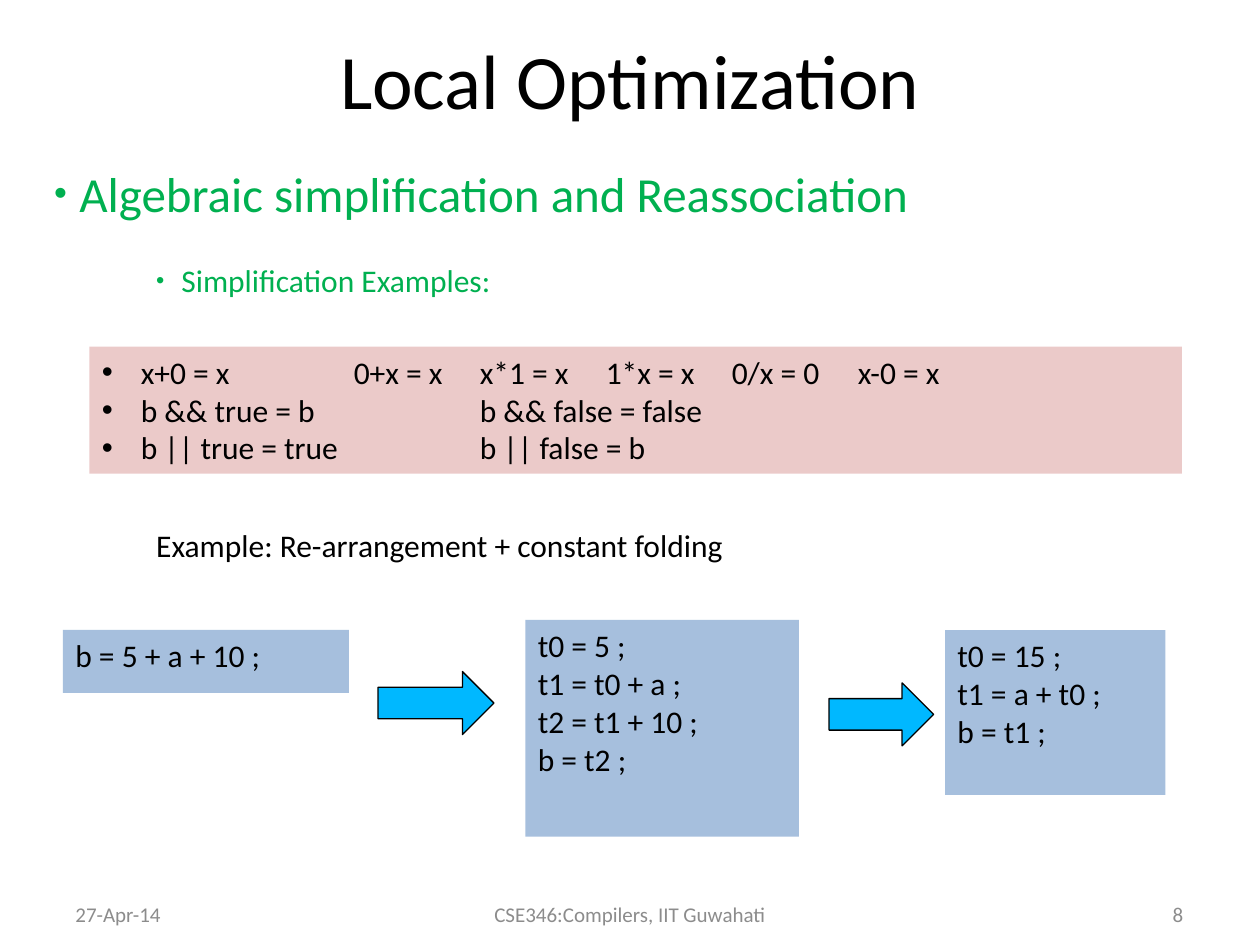
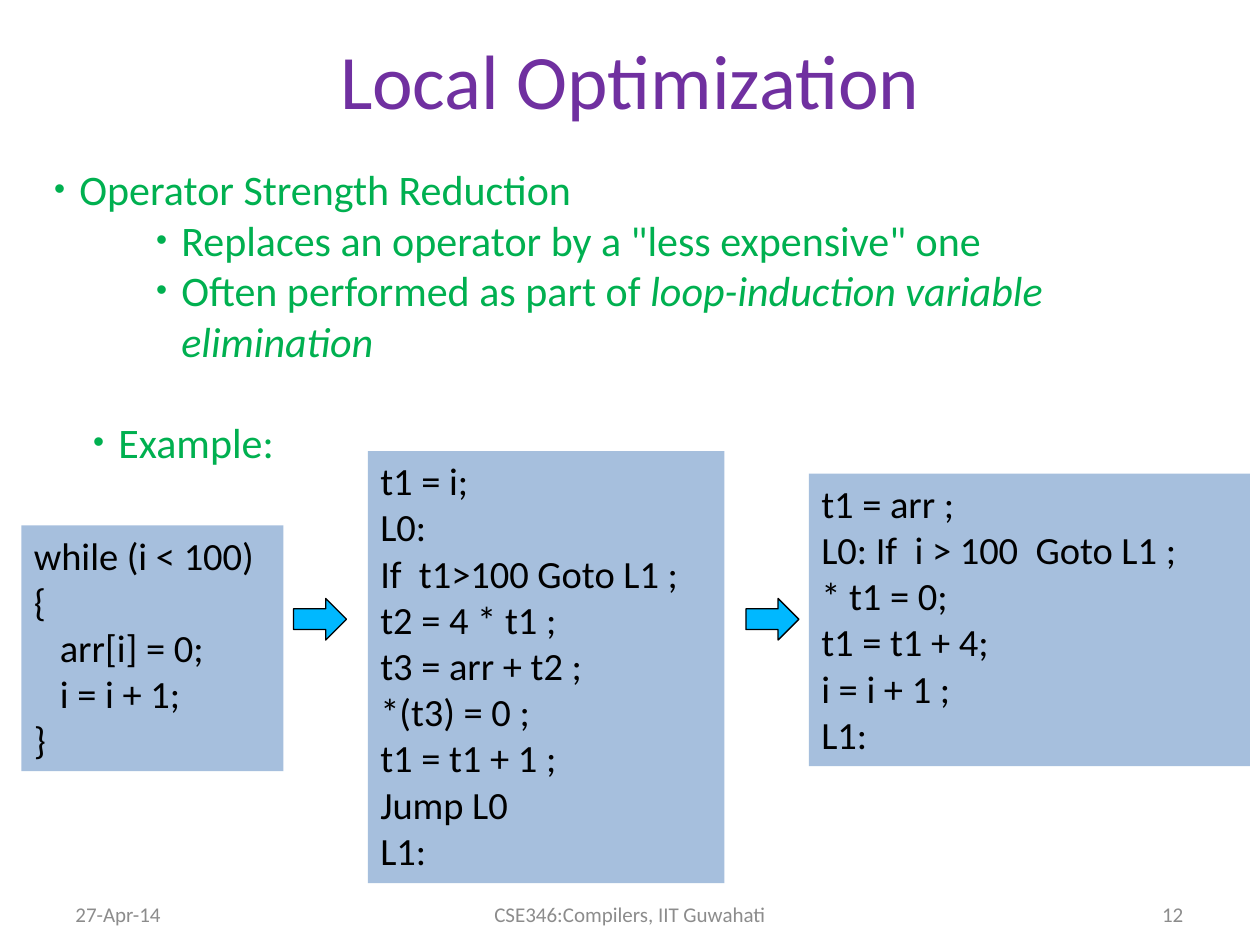
from lxml.etree import SubElement
from pptx import Presentation
from pptx.dml.color import RGBColor
from pptx.enum.shapes import MSO_SHAPE
from pptx.enum.text import MSO_ANCHOR, MSO_AUTO_SIZE, PP_ALIGN
from pptx.oxml.ns import qn
from pptx.util import Inches, Pt

FONT = "Calibri"
BLACK = RGBColor(0x00, 0x00, 0x00)
PURPLE = RGBColor(0x70, 0x30, 0xA0)
GREEN = RGBColor(0x00, 0xB0, 0x50)
GREY = RGBColor(0x8C, 0x8C, 0x8C)
CODE_BLUE = RGBColor(0x4F, 0x81, 0xBD)
RULE_PINK = RGBColor(0xD9, 0x96, 0x94)
ARROW_BLUE = RGBColor(0x00, 0xB8, 0xFF)


def place(shape, box):
    shape.left, shape.top, shape.width, shape.height = map(Inches, box)


def style(paragraph, size, color, align=PP_ALIGN.LEFT):
    paragraph.alignment = align
    paragraph.line_spacing = 1.0
    font = paragraph.font
    font.name, font.size, font.color.rgb = FONT, Pt(size), color


def set_bullet(paragraph, margin, hanging, color=None, percent=100):
    """Give the paragraph a hanging bullet, or none when hanging is 0."""
    properties = paragraph._p.get_or_add_pPr()
    properties.set("marL", str(Inches(margin)))
    properties.set("indent", str(-Inches(hanging)))
    if not hanging:
        SubElement(properties, qn("a:buNone"))
        return
    if color is not None:
        bullet_color = SubElement(properties, qn("a:buClr"))
        SubElement(bullet_color, qn("a:srgbClr"), val=str(color))
    SubElement(properties, qn("a:buSzPct"), val=str(percent * 1000))
    SubElement(properties, qn("a:buFont"), typeface="Arial")
    SubElement(properties, qn("a:buChar"), char="•")


def add_title(slide, text, color):
    title = slide.shapes.title
    place(title, (0.5, 0, 9, 1.25))
    title.text_frame.text = text
    title.text_frame.vertical_anchor = MSO_ANCHOR.MIDDLE
    style(title.text_frame.paragraphs[0], 44, color, PP_ALIGN.CENTER)


def add_footer(slide, number):
    parts = (
        ("27-Apr-14", 0.5, 2.32, PP_ALIGN.LEFT),
        ("CSE346:Compilers, IIT Guwahati", 3.42, 3.16, PP_ALIGN.CENTER),
        (str(number), 7.17, 2.32, PP_ALIGN.RIGHT),
    )
    for text, left, width, align in parts:
        box = slide.shapes.add_textbox(
            Inches(left), Inches(7.09), Inches(width), Inches(0.33))
        frame = box.text_frame
        frame.word_wrap = True
        frame.vertical_anchor = MSO_ANCHOR.MIDDLE
        frame.text = text
        style(frame.paragraphs[0], 12, GREY, align)


def fill_body(slide, items):
    """Write items of (runs, level, margin, hanging, size, color, space before);
    every second run is italic."""
    body = slide.placeholders[1]
    place(body, (0.33, 1.25, 9.42, 5.67))
    frame = body.text_frame
    frame.auto_size = MSO_AUTO_SIZE.NONE
    for index, (runs, level, margin, hanging, size, color, before) in enumerate(items):
        paragraph = frame.add_paragraph() if index else frame.paragraphs[0]
        paragraph.level = level
        for position, text in enumerate(runs):
            run = paragraph.add_run()
            run.text = text
            if position % 2:
                run.font.italic = True
        set_bullet(paragraph, margin, hanging, color, 75)
        paragraph.space_before = Pt(before)
        style(paragraph, size, color)


def add_panel(slide, box, lines, size, color=CODE_BLUE, bulleted=False):
    """Half-transparent box with one paragraph for each line."""
    panel = slide.shapes.add_shape(MSO_SHAPE.RECTANGLE, *map(Inches, box))
    panel.shadow.inherit = False
    panel.line.fill.background()
    panel.fill.solid()
    panel.fill.fore_color.rgb = color
    fill_color = panel._element.spPr.find(".//" + qn("a:srgbClr"))
    SubElement(fill_color, qn("a:alpha"), val="50000")
    frame = panel.text_frame
    frame.word_wrap = True
    frame.vertical_anchor = MSO_ANCHOR.TOP
    frame.text = "\n".join(lines)
    for paragraph in frame.paragraphs:
        if bulleted:
            set_bullet(paragraph, 0.31, 0.31)
            paragraph._p.pPr.set("defTabSz", str(Inches(1)))
        style(paragraph, size, BLACK)


def add_arrow(slide, box):
    arrow = slide.shapes.add_shape(MSO_SHAPE.RIGHT_ARROW, *map(Inches, box))
    arrow.shadow.inherit = False
    arrow.fill.solid()
    arrow.fill.fore_color.rgb = ARROW_BLUE
    arrow.line.color.rgb = BLACK
    arrow.line.width = Pt(0.75)


def add_code_steps(slide, steps, arrows, size):
    for box, lines in steps:
        add_panel(slide, box, lines, size)
    for box in arrows:
        add_arrow(slide, box)


def start_slide(presentation, title_color, number):
    slide = presentation.slides.add_slide(presentation.slide_layouts[1])
    add_title(slide, "Local Optimization", title_color)
    add_footer(slide, number)
    return slide


def add_simplification_slide(presentation):
    slide = start_slide(presentation, BLACK, 8)
    fill_body(slide, [
        (["Algebraic simplification and Reassociation"], 0, 0.2, 0.2, 28, GREEN, 0),
        (["Simplification Examples:"], 1, 1.01, 0.2, 18, GREEN, 22),
        (["Example: Re-arrangement + constant folding"], 1, 0.81, 0, 18, BLACK, 130),
    ])
    add_panel(slide, (0.71, 2.75, 8.67, 1.01), [
        "x+0 = x\t0+x = x\tx*1 = x\t1*x = x\t0/x = 0\tx-0 = x",
        "b && true = b\t\tb && false = false",
        "b || true = true\t\tb || false = b",
    ], 18, RULE_PINK, bulleted=True)
    add_code_steps(slide, [
        ((0.5, 5, 2.27, 0.5), ["b = 5 + a + 10 ;"]),
        ((4.17, 4.92, 2.17, 1.72),
         ["t0 = 5 ;", "t1 = t0 + a ;", "t2 = t1 + 10 ;", "b = t2 ;"]),
        ((7.5, 5, 1.75, 1.31), ["t0 = 15 ;", "t1 = a + t0 ;", "b = t1 ;"]),
    ], [(3, 5.33, 0.92, 0.5), (6.58, 5.42, 0.83, 0.5)], 18)


def add_strength_reduction_slide(presentation):
    slide = start_slide(presentation, PURPLE, 12)
    fill_body(slide, [
        (["Operator Strength Reduction"], 0, 0.2, 0.2, 24, GREEN, 0),
        (['Replaces an operator by a "less expensive" one'],
         1, 1.01, 0.2, 24, GREEN, 0),
        (["Often performed as part of ", "loop-induction variable elimination"],
         1, 1.01, 0.2, 24, GREEN, 0),
        (["Example:"], 0, 0.51, 0.2, 24, GREEN, 29),
    ])
    add_code_steps(slide, [
        ((0.17, 4.17, 2.08, 1.95),
         ["while (i < 100) {", "   arr[i] = 0;", "   i = i + 1;", "}"]),
        ((2.92, 3.58, 2.83, 3.43),
         ["t1 = i;", "L0:", "If  t1>100 Goto L1 ;", "t2 = 4 * t1 ;",
          "t3 = arr + t2 ;", "*(t3) = 0 ;", "t1 = t1 + 1 ;", "Jump L0", "L1:"]),
        ((6.42, 3.76, 3.5, 2.32),
         ["t1 = arr ;", "L0: If  i > 100  Goto L1 ;", "* t1 = 0;",
          "t1 = t1 + 4;", "i = i + 1 ;", "L1:"]),
    ], [(left, 4.75, 0.42, 0.33) for left in (2.33, 5.92)], 22)


def main():
    presentation = Presentation()
    presentation.slide_width, presentation.slide_height = Inches(10), Inches(7.5)
    add_simplification_slide(presentation)
    add_strength_reduction_slide(presentation)
    presentation.save("out.pptx")


if __name__ == "__main__":
    main()
